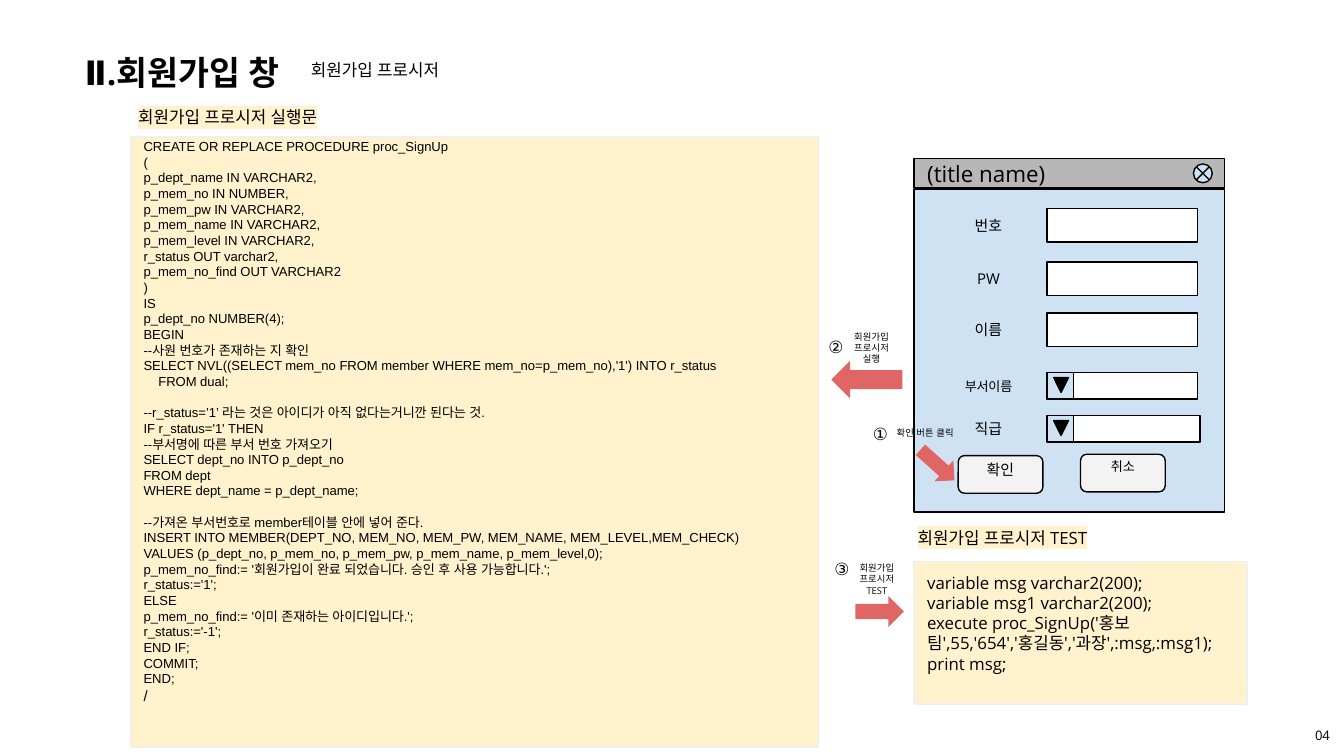
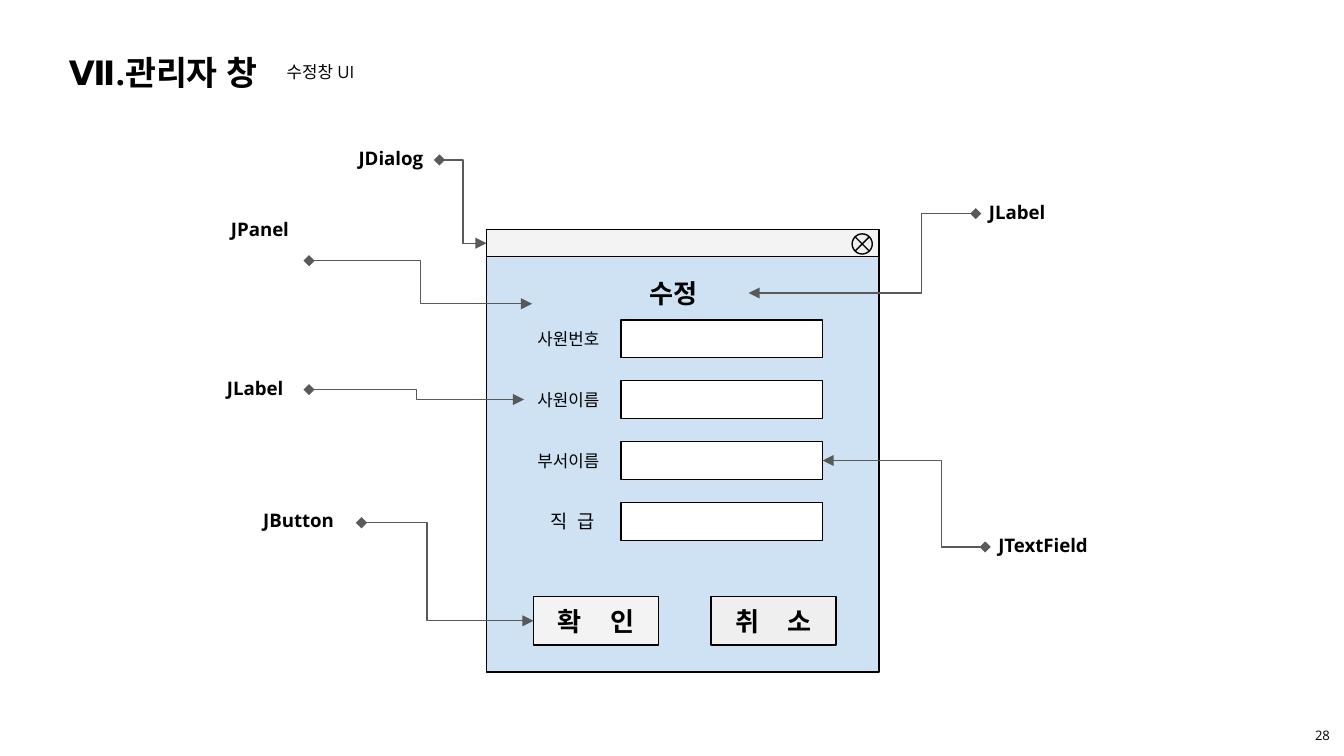
from lxml.etree import SubElement
from pptx import Presentation
from pptx.dml.color import RGBColor
from pptx.enum.shapes import MSO_CONNECTOR, MSO_SHAPE
from pptx.enum.text import MSO_ANCHOR, PP_ALIGN
from pptx.oxml.ns import qn
from pptx.util import Inches, Pt

# Shared style
SLIDE_WIDTH = Inches(10)
SLIDE_HEIGHT = SLIDE_WIDTH * 9 // 16
COLORS = {
    "black": "000000", "white": "FFFFFF", "cream": "FFF2CC", "edge": "EFEFEF",
    "panel": "CFE2F3", "button": "F3F3F3", "bar": "B7B7B7", "arrow": "E06666",
    "callout": "595959",
}
BODY_FONT = "Open Sans"
FORM_FONT = "Roboto Condensed"
ALIGNMENTS = {"left": PP_ALIGN.LEFT, "center": PP_ALIGN.CENTER}
ANCHORS = {"top": MSO_ANCHOR.TOP, "middle": MSO_ANCHOR.MIDDLE}

# Sign-up slide: procedure in blocks, each block set off by a gap
PROCEDURE_BLOCKS = [
    """CREATE OR REPLACE PROCEDURE proc_SignUp
(
p_dept_name IN VARCHAR2,
p_mem_no IN NUMBER,
p_mem_pw IN VARCHAR2,
p_mem_name IN VARCHAR2,
p_mem_level IN VARCHAR2,
r_status OUT varchar2,
p_mem_no_find OUT VARCHAR2
)
IS
p_dept_no NUMBER(4);
BEGIN
--사원 번호가 존재하는 지 확인
SELECT NVL((SELECT mem_no FROM member WHERE mem_no=p_mem_no),'1') INTO r_status
FROM dual;""",
    """--r_status=’1’ 라는 것은 아이디가 아직 없다는거니깐 된다는 것.
IF r_status='1' THEN
--부서명에 따른 부서 번호 가져오기
SELECT dept_no INTO p_dept_no
FROM dept
WHERE dept_name = p_dept_name;""",
    """--가져온 부서번호로 member테이블 안에 넣어 준다.
INSERT INTO MEMBER(DEPT_NO, MEM_NO, MEM_PW, MEM_NAME, MEM_LEVEL,MEM_CHECK)
VALUES (p_dept_no, p_mem_no, p_mem_pw, p_mem_name, p_mem_level,0);
p_mem_no_find:= '회원가입이 완료 되었습니다. 승인 후 사용 가능합니다.';
r_status:='1';
ELSE
p_mem_no_find:= '이미 존재하는 아이디입니다.';
r_status:='-1';
END IF;
COMMIT;
END;
/""",
]
INDENTED_LINE = "FROM dual;"
TEST_CODE = """variable msg varchar2(200);
variable msg1 varchar2(200);
execute proc_SignUp('홍보팀',55,'654','홍길동','과장',:msg,:msg1);
print msg;"""
# text, left, top, width
HEADINGS = [
    ("회원가입 프로시저 실행문", 0.93, 0.72, 1.85),
    ("회원가입 프로시저 TEST", 6.73, 3.85, 1.63),
]
# caption, size, field left, field top, field height, drop-down
SIGN_UP_ROWS = [
    ("번호", 8, 7.79, 1.55, 0.25, False),
    ("PW", 8, 7.79, 1.95, 0.25, False),
    ("이름", 8, 7.79, 2.33, 0.25, False),
    ("부서이름", 7, 7.79, 2.77, 0.2, True),
    ("직급", 8, 7.81, 3.09, 0.2, True),
]
SIGN_UP_BUTTONS = [("확인", 8, 7.13, 3.39), ("취소", 7, 8.04, 3.38)]
# number and its box, note and its box, arrow box and rotation
STEPS = [
    ("①", (6.39, 3.12, 0.32, 0.22), "center", "확인 버튼 클릭", (6.5, 3.09, 0.77, 0.26),
     (6.87, 3.29, 0.21, 0.34), 311.9),
    ("②", (6.06, 2.47, 0.32, 0.22), "center", "회원가입 프로시저 실행", (6.24, 2.46, 0.49, 0.26),
     (6.31, 2.56, 0.28, 0.53), 90),
    ("③", (6.11, 4.12, 0.32, 0.22), "left", "회원가입 프로시저 TEST", (6.27, 4.18, 0.51, 0.26),
     (6.43, 4.37, 0.23, 0.36), 270),
]

# Edit dialog slide: caption, size, alignment, letter spacing
EDIT_ROWS = [
    ("사원번호", 9, "left", 0),
    ("사원이름", 9, "left", 0),
    ("부서이름", 9, "left", 0),
    ("직 급", 10, "center", 1.3),
]
EDIT_BUTTONS = [("확 인", 3.97, "button"), ("취 소", 5.29, "edge")]
# component, label box, arrow point, diamond point, bend, target and its side
CALLOUTS = [
    ("JPanel", (1.62, 1.54, 0.65, 0.37), (3.96, 2.26), (2.3, 1.94), 0.5, None, None),
    ("JLabel", (1.59, 2.72, 0.7, 0.37), (3.9, 2.97), (2.3, 2.9), 0.5, "사원이름", 1),
    ("JButton", (1.86, 3.7, 0.82, 0.37), (3.97, 4.62), (2.69, 3.89), 0.62, "확 인", 1),
    ("JTextField", (7.33, 3.89, 0.93, 0.37), (6.13, 3.43), (7.33, 4.07), 0.73, "부서이름 field", 3),
    ("JLabel", (7.26, 1.41, 0.7, 0.37), (5.58, 2.18), (7.26, 1.59), 0.76, "수정", 3),
    ("JDialog", (2.57, 1.01, 0.7, 0.37), (3.62, 1.81), (3.27, 1.19), 0.5, "title bar", 1),
]


def color(name):
    return RGBColor.from_string(COLORS[name])


def write(shape, text, size=9, font=BODY_FONT, bold=False, align="left",
          anchor="middle", inset_top=0.1, highlight=None, spacing=0):
    """Put one paragraph per line of text into the shape."""
    frame = shape.text_frame
    frame.word_wrap = True
    frame.vertical_anchor = ANCHORS[anchor]
    frame.margin_left = frame.margin_right = frame.margin_bottom = Inches(0.1)
    frame.margin_top = Inches(inset_top)
    for index, line in enumerate(text.split("\n")):
        paragraph = frame.add_paragraph() if index else frame.paragraphs[0]
        paragraph.alignment = ALIGNMENTS[align]
        run = paragraph.add_run()
        run.text = line
        run.font.size = Pt(size)
        run.font.bold = bold
        run.font.color.rgb = color("black")
        properties = run.font._element
        if spacing:
            properties.set("spc", str(round(spacing * 100)))
        if highlight:
            mark = SubElement(properties, qn("a:highlight"))
            SubElement(mark, qn("a:srgbClr")).set("val", COLORS[highlight])
        for script in ("a:latin", "a:ea", "a:cs"):
            SubElement(properties, qn(script)).set("typeface", font)
    return shape


def add_text(slide, text, box, **style):
    return write(slide.shapes.add_textbox(*map(Inches, box)), text, **style)


def add_box(slide, box, fill, line="black", kind=MSO_SHAPE.RECTANGLE):
    shape = slide.shapes.add_shape(kind, *map(Inches, box))
    shape.shadow.inherit = False
    shape.fill.solid()
    shape.fill.fore_color.rgb = color(fill)
    if line:
        shape.line.color.rgb = color(line)
        shape.line.width = Pt(0.75)
    else:
        shape.line.fill.background()
    return shape


def start_slide(presentation, number, title, title_width, subtitle, subtitle_box):
    slide = presentation.slides.add_slide(presentation.slide_layouts[6])
    slide.background.fill.solid()
    slide.background.fill.fore_color.rgb = color("white")
    add_text(slide, number, (9.68, 5.31, 0.32, 0.32), size=7, align="center")
    add_text(slide, title, (0.4, 0.33, title_width, 0.41), size=18, bold=True, align="center")
    add_text(slide, subtitle, subtitle_box, align="center", anchor="top")
    return slide


def add_callout(slide, name, label_box, tip, tail, bend, target, side):
    connector = slide.shapes.add_connector(MSO_CONNECTOR.ELBOW, *map(Inches, tip + tail))
    if target:
        connector.begin_connect(target, side)
    connector.line.color.rgb = color("callout")
    connector.line.width = Pt(0.75)
    properties = connector._element.spPr
    guides = properties.find(qn("a:prstGeom")).get_or_add_avLst()
    guide = SubElement(guides, qn("a:gd"))
    guide.set("name", "adj1")
    guide.set("fmla", f"val {round(bend * 100000)}")
    line = properties.find(qn("a:ln"))
    SubElement(line, qn("a:headEnd")).set("type", "triangle")
    SubElement(line, qn("a:tailEnd")).set("type", "diamond")
    SubElement(properties, qn("a:effectLst"))
    add_text(slide, name, label_box, size=10, bold=True, anchor="top")


def build_sign_up(presentation):
    slide = start_slide(presentation, "04", "Ⅱ.회원가입 창", 1.91,
                        "회원가입 프로시저", (2.13, 0.37, 1.32, 0.35))

    # Procedure and test code
    code = add_box(slide, (0.97, 1.02, 5.12, 4.54), "cream", "edge")
    write(code, "\n".join(PROCEDURE_BLOCKS), size=7, font="Arial", anchor="top", inset_top=0.01)
    block_starts = [block.split("\n")[0] for block in PROCEDURE_BLOCKS[1:]]
    for paragraph in code.text_frame.paragraphs:
        if paragraph.text in block_starts:
            paragraph.space_before = Pt(8.4)
        elif paragraph.text == INDENTED_LINE:
            paragraph._p.get_or_add_pPr().set("marL", str(Inches(0.11)))
    code.text_frame.paragraphs[-1].runs[0].font.size = Pt(8)
    test = add_box(slide, (6.8, 4.18, 2.48, 1.06), "cream", "edge")
    write(test, TEST_CODE, anchor="top", inset_top=0.08)
    for text, left, top, width in HEADINGS:
        add_text(slide, text, (left, top, width, 0.35), anchor="top", highlight="cream")

    # Sign-up window
    add_box(slide, (6.8, 1.41, 2.31, 2.4), "panel")
    write(add_box(slide, (6.8, 1.18, 2.31, 0.22), "bar"), "(title name)", size=12)
    add_box(slide, (8.88, 1.22, 0.14, 0.14), "panel", kind=MSO_SHAPE.FLOWCHART_SUMMING_JUNCTION)
    for caption, size, left, top, height, has_menu in SIGN_UP_ROWS:
        caption_top = top + height / 2 - 0.145
        add_text(slide, caption, (7.04, caption_top, 0.63, 0.29), size=size, align="center")
        add_box(slide, (left, top, 1.12, height), "white")
        if has_menu:
            add_box(slide, (7.79, top, 0.2, height), "panel")
            add_box(slide, (7.84, top + 0.04, 0.11, 0.11), "black", kind=MSO_SHAPE.FLOWCHART_MERGE)
    for text, size, left, top in SIGN_UP_BUTTONS:
        button = add_box(slide, (left, top, 0.63, 0.28), "button", kind=MSO_SHAPE.ROUNDED_RECTANGLE)
        write(button, text, size=size, align="center", anchor="top", inset_top=0.02)

    # Numbered steps
    for number, number_box, align, note, note_box, arrow_box, rotation in STEPS:
        arrow = add_box(slide, arrow_box, "arrow", line=None, kind=MSO_SHAPE.DOWN_ARROW)
        arrow.rotation = rotation
        add_text(slide, number, number_box, align=align)
        add_text(slide, note, note_box, size=5, align="center")


def build_edit_dialog(presentation):
    slide = start_slide(presentation, "28", "Ⅶ.관리자 창", 1.63,
                        "수정창 UI", (1.69, 0.38, 1.39, 0.35))
    targets = {}

    # Dialog frame
    add_box(slide, (3.62, 1.71, 2.92, 3.29), "panel")
    targets["title bar"] = add_box(slide, (3.62, 1.71, 2.92, 0.2), "button")
    add_box(slide, (6.34, 1.74, 0.15, 0.15), "edge", kind=MSO_SHAPE.FLOWCHART_SUMMING_JUNCTION)
    targets["수정"] = add_text(slide, "수정", (4.45, 2.04, 1.12, 0.28), size=14,
                             font=FORM_FONT, bold=True, align="center")

    # Form rows and buttons
    for index, (caption, size, align, spacing) in enumerate(EDIT_ROWS):
        top = 2.38 + index * 1.36 / 3
        label = add_box(slide, (3.9, top, 0.72, 0.28), "panel", line=None)
        targets[caption] = write(label, caption, size=size, align=align, spacing=spacing)
        targets[f"{caption} field"] = add_box(slide, (4.62, top, 1.5, 0.28), "white")
    for text, left, fill in EDIT_BUTTONS:
        button = add_box(slide, (left, 4.44, 0.93, 0.36), fill)
        targets[text] = write(button, text, size=14, font=FORM_FONT, bold=True,
                              align="center", spacing=6)

    # Component names
    for name, label_box, tip, tail, bend, target, side in CALLOUTS:
        add_callout(slide, name, label_box, tip, tail, bend, targets.get(target), side)


def main():
    presentation = Presentation()
    presentation.slide_width = SLIDE_WIDTH
    presentation.slide_height = SLIDE_HEIGHT
    build_sign_up(presentation)
    build_edit_dialog(presentation)
    presentation.save("out.pptx")


if __name__ == "__main__":
    main()
